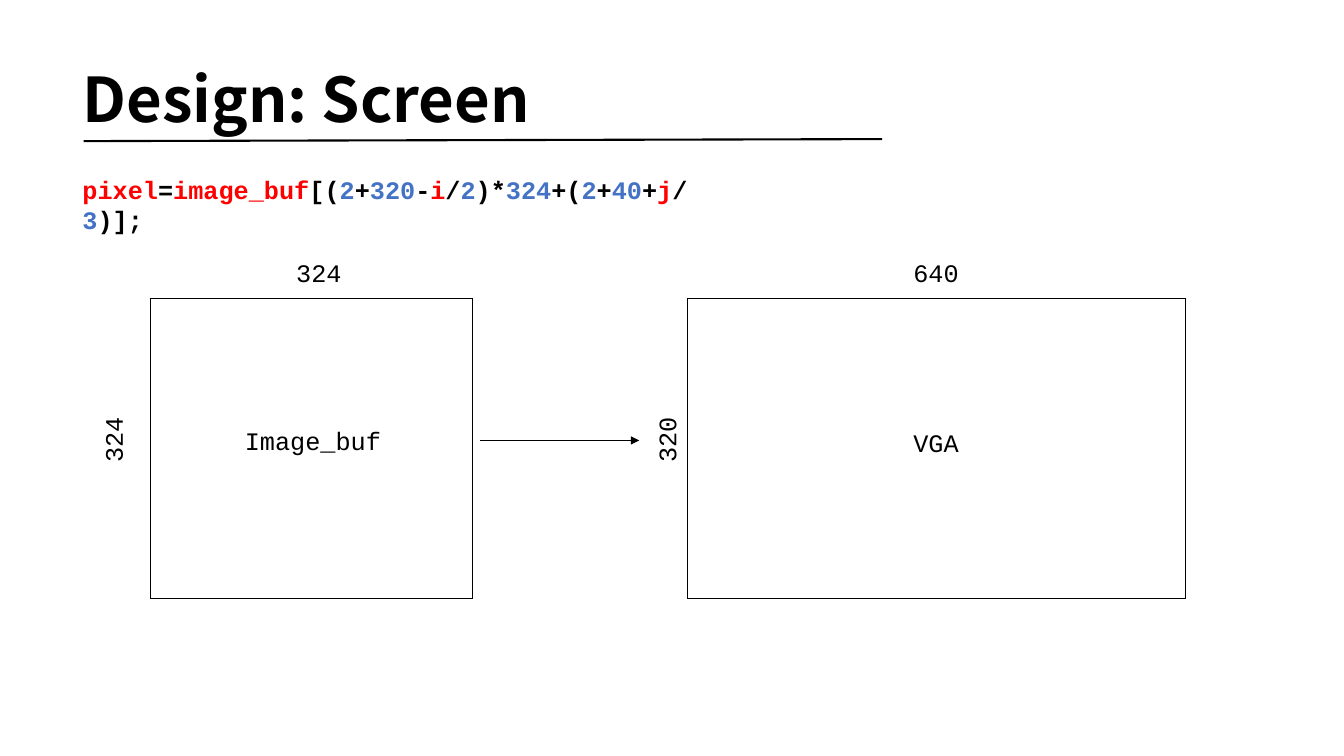
from dataclasses import dataclass
from itertools import groupby

from lxml import etree
from pptx import Presentation
from pptx import util as u
from pptx.dml.color import RGBColor
from pptx.enum import shapes, text
from pptx.oxml import ns

PX = 9144  # EMU per px, 100 px to the inch


@dataclass(frozen=True)
class Theme:
    black: str = "000000"
    name: str = "FF0000"
    number: str = "4472C4"
    title_font: str = "Noto Sans CJK SC"
    code_font: str = "Courier New"
    title_size: int = 44
    code_size: int = 18


@dataclass(frozen=True)
class Label:
    words: str
    left: int
    top: int
    width: int = 66
    height: int = 40
    rotation: int = 0


@dataclass(frozen=True)
class Buffer:
    left: int
    width: int
    top: int = 296
    height: int = 298


@dataclass(frozen=True)
class Line:
    start: tuple[int, int]
    end: tuple[int, int]
    weight: float
    arrow: bool = False


THEME = Theme()
TITLE = Label("Design: Screen", 72, -5, 1150, 145)
FORMULA = Label("pixel=image_buf[(2+320-i/2)*324+(2+40+j/3)];", 72, 168, 666)
BUFFERS = [Buffer(149, 320), Buffer(682, 494)]
LINES = [
    Line((83, 140), (875, 138), 1.5),
    Line((476, 437), (634, 437), 0.5, arrow=True),
]
LABELS = [
    Label("324", 284, 250),
    Label("640", 896, 250),
    Label("324", 79, 416, rotation=270),
    Label("320", 628, 416, rotation=270),
    Label("Image_buf", 233, 417, 214),
    Label("VGA", 896, 419, 214),
]


def px(length: int) -> u.Emu:
    return u.Emu(length * PX)


def token_colour(char: str) -> str:
    """Names, numbers and operators each have their own colour."""
    if char.isalpha() or char == "_":
        return THEME.name
    return THEME.number if char.isdigit() else THEME.black


def add_box(page, label: Label):
    box = page.shapes.add_textbox(
        px(label.left), px(label.top), px(label.width), px(label.height))
    box.rotation = label.rotation
    box.text_frame.word_wrap = True
    return box


def add_title(page, label: Label) -> None:
    frame = add_box(page, label).text_frame
    frame.vertical_anchor = text.MSO_ANCHOR.BOTTOM
    para = frame.paragraphs[0]
    para.text = label.words
    para.line_spacing = 0.9
    para.font.name = THEME.title_font
    para.font.size = u.Pt(THEME.title_size)
    para.font.bold = True
    para.font.color.rgb = RGBColor.from_string(THEME.black)


def add_code(page, label: Label, highlight: bool = False) -> None:
    frame = add_box(page, label).text_frame
    frame.auto_size = text.MSO_AUTO_SIZE.SHAPE_TO_FIT_TEXT
    para = frame.paragraphs[0]
    para.font.name = THEME.code_font
    para.font.size = u.Pt(THEME.code_size)
    para.font.bold = highlight
    if not highlight:
        para.text = label.words
        para.font.color.rgb = RGBColor.from_string(THEME.black)
        return
    for colour, chars in groupby(label.words, token_colour):
        span = para.add_run()
        span.text = "".join(chars)
        span.font.color.rgb = RGBColor.from_string(colour)


def add_buffer(page, buffer: Buffer) -> None:
    table = page.shapes.add_table(
        1, 1, px(buffer.left), px(buffer.top),
        px(buffer.width), px(buffer.height)).table
    table.first_row = table.horz_banding = False
    cell = table.cell(0, 0)
    properties = cell._tc.get_or_add_tcPr()
    for side in ("a:lnL", "a:lnR", "a:lnT", "a:lnB"):
        border = etree.SubElement(properties, ns.qn(side), w=str(u.Pt(1)))
        fill = etree.SubElement(border, ns.qn("a:solidFill"))
        etree.SubElement(fill, ns.qn("a:srgbClr"), val=THEME.black)
    cell.fill.background()


def add_line(page, line: Line) -> None:
    connector = page.shapes.add_connector(
        shapes.MSO_CONNECTOR.STRAIGHT,
        *(px(value) for value in line.start + line.end))
    connector.line.color.rgb = RGBColor.from_string(THEME.black)
    connector.line.width = u.Pt(line.weight)
    if line.arrow:
        outline = connector.line._get_or_add_ln()
        etree.SubElement(outline, ns.qn("a:tailEnd"), type="triangle")
    etree.SubElement(connector._element.spPr, ns.qn("a:effectLst"))


def main() -> None:
    deck = Presentation()
    deck.slide_width, deck.slide_height = px(1333), px(750)
    page = deck.slides.add_slide(deck.slide_layouts[6])

    # Heading and formula
    add_title(page, TITLE)
    add_code(page, FORMULA, highlight=True)

    # Image buffer and screen
    for buffer in BUFFERS:
        add_buffer(page, buffer)

    # Title rule and arrow
    for line in LINES:
        add_line(page, line)

    # Names and dimensions
    for label in LABELS:
        add_code(page, label)

    deck.save("out.pptx")


if __name__ == "__main__":
    main()
